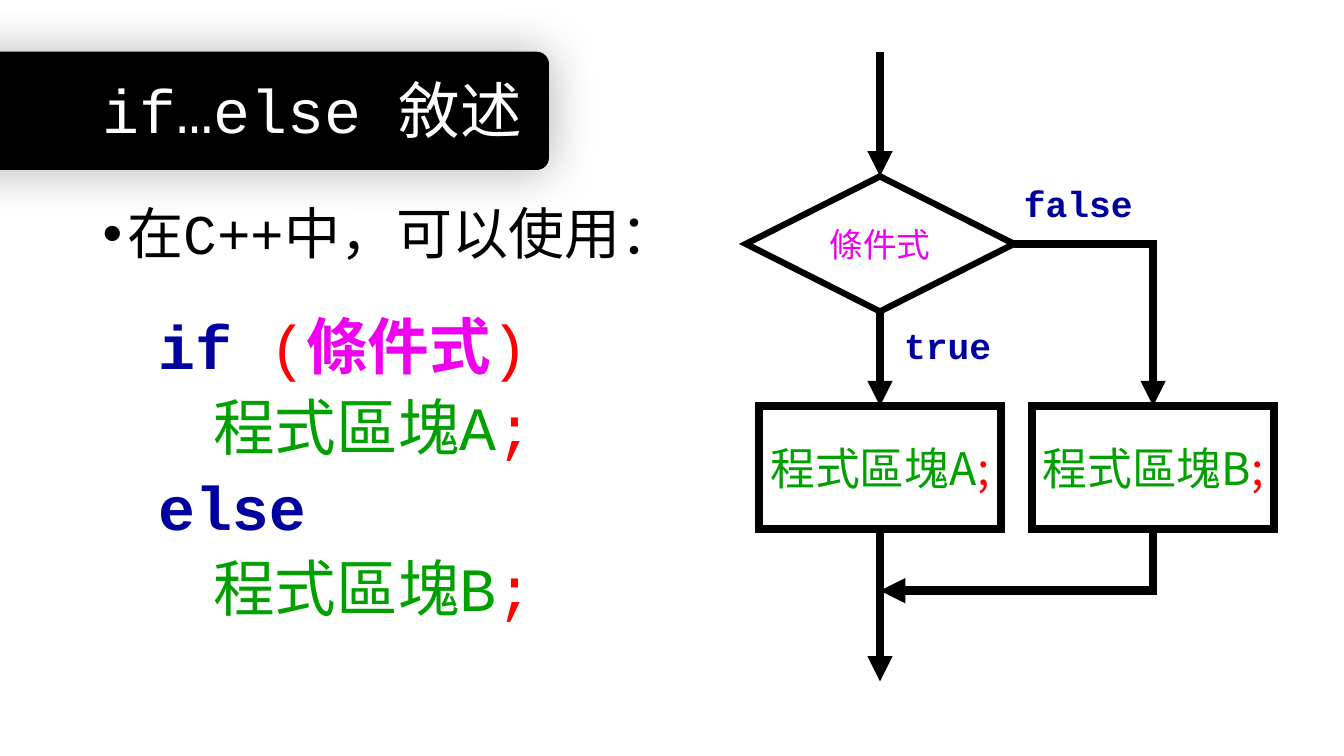
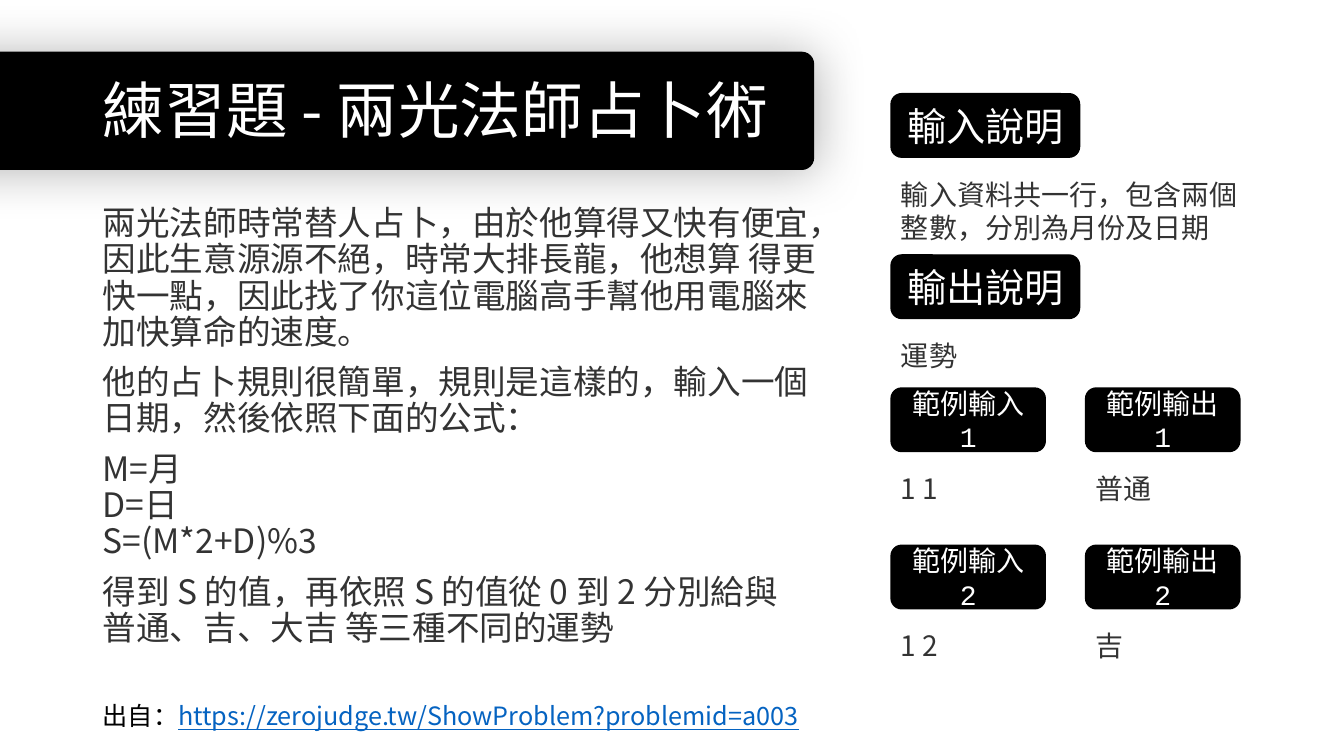
from lxml import etree
from pptx import Presentation
from pptx import util as u
from pptx.dml.color import RGBColor
from pptx.enum import shapes, text
from pptx.oxml import ns

PX = 9144  # EMU in one px, 100 px to the inch
MONO = "Courier New"
SANS = "Noto Sans CJK TC"
COLORS = {
    "black": "000000", "white": "FFFFFF", "gray": "333333", "navy": "0000A1",
    "red": "FF0000", "magenta": "F000F0", "green": "00A000", "link": "0563C1",
}
KIND = shapes.MSO_SHAPE
LEFT, CENTER = text.PP_ALIGN.LEFT, text.PP_ALIGN.CENTER
TOP, MIDDLE = text.MSO_ANCHOR.TOP, text.MSO_ANCHOR.MIDDLE


def write(shape, lines, size, font, align=LEFT, anchor=TOP, spacing=1.0, before=0):
    """Fill a shape with paragraphs; each is a list of (text, colour, style letters)."""
    frame = shape.text_frame
    frame.word_wrap = True
    frame.auto_size = text.MSO_AUTO_SIZE.NONE
    frame.vertical_anchor = anchor
    for index, spans in enumerate(lines):
        para = frame.add_paragraph() if index else frame.paragraphs[0]
        para.alignment = align
        para.line_spacing = spacing
        para.space_before = u.Pt(before if index else 0)
        for words, color, style in spans:
            for number, piece in enumerate(words.split("\n")):
                if number:
                    para.add_line_break()
                span = para.add_run()
                span.text = piece
                span.font.size = u.Pt(size)
                span.font.name = font
                span.font.bold = "b" in style
                span.font.underline = "u" in style
                span.font.color.rgb = RGBColor.from_string(COLORS[color])
                etree.SubElement(span.font._element, ns.qn("a:ea"), typeface=SANS)


def add_box(page, kind, place, fill, line_width):
    """Add a black-edged preset shape."""
    box = page.shapes.add_shape(kind, *[n * PX for n in place])
    box.shadow.inherit = False
    box.fill.solid()
    box.fill.fore_color.rgb = RGBColor.from_string(COLORS[fill])
    box.line.color.rgb = RGBColor.from_string(COLORS["black"])
    box.line.width = u.Pt(line_width)
    if kind != KIND.ROUNDED_RECTANGLE:
        etree.SubElement(box.line._get_or_add_ln(), ns.qn("a:miter"), lim="800000")
    return box


deck = Presentation()
deck.slide_width, deck.slide_height = u.Inches(13.333), u.Inches(7.5)

# Both pages: black title band with a soft shadow, title on top
pages = []
for title, font, band_width in [("if…else 敘述", MONO, 756),
                                ("練習題 - 兩光法師占卜術", SANS, 1019)]:
    page = deck.slides.add_slide(deck.slide_layouts[5])
    band = add_box(page, KIND.ROUNDED_RECTANGLE, (-212, 52, band_width, 116), "black", 1)
    band.adjustments[0] = 0.1
    effects = band._element.spPr.find(ns.qn("a:effectLst"))
    glow = etree.SubElement(effects, ns.qn("a:outerShdw"), blurRad=str(u.Pt(36)), dist="0",
                            algn="ctr", rotWithShape="0")
    tint = etree.SubElement(glow, ns.qn("a:srgbClr"), val=COLORS["black"])
    etree.SubElement(tint, ns.qn("a:alpha"), val="30000")
    page.shapes._spTree.insert(2, band._element)

    heading = page.shapes.title
    heading.left, heading.top, heading.width, heading.height = [
        n * PX for n in (92, 40, 1150, 145)]
    write(heading, [[(title, "white", "")]], 44, font, anchor=MIDDLE, spacing=0.9)
    pages.append(page)
syntax_page, exercise_page = pages

# Syntax page: bullet line
intro = syntax_page.shapes.add_textbox(*[n * PX for n in (92, 200, 640, 80)])
bullet = intro.text_frame.paragraphs[0]._p.get_or_add_pPr()
bullet.set("marL", str(25 * PX))
bullet.set("indent", str(-25 * PX))
etree.SubElement(bullet, ns.qn("a:buFont"), typeface="Arial")
etree.SubElement(bullet, ns.qn("a:buChar"), char="•")
write(intro, [[("在C++中，可以使用：", "black", "")]], 40, MONO, spacing=0.9)

# Syntax page: code
code = syntax_page.shapes.add_textbox(*[n * PX for n in (147, 309, 527, 316)])
write(code, [
    [("if ", "navy", "b"), ("(", "red", ""), ("條件式", "magenta", "b"), (")", "red", "")],
    [("    ", "black", ""), ("程式區塊A", "green", ""), (";", "red", "")],
    [("else", "navy", "b")],
    [("    ", "red", ""), ("程式區塊B", "green", ""), (";", "red", "")],
], 44, MONO, anchor=MIDDLE, spacing=0.9, before=10)

# Syntax page: flow chart nodes
decision = add_box(syntax_page, KIND.FLOWCHART_DECISION, (740, 175, 266, 134), "white", 4.5)
write(decision, [[("條件式", "magenta", "")]], 24, SANS, CENTER, MIDDLE)
blocks = []
for name, left in [("A", 753), ("B", 1024)]:
    block = add_box(syntax_page, KIND.FLOWCHART_PROCESS, (left, 403, 240, 122), "white", 6)
    write(block, [[("程式區塊" + name, "green", ""), (";", "red", "")]], 32, SANS, CENTER, MIDDLE)
    blocks.append(block)
for label, place in [("true", (887, 323, 119, 47)), ("false", (1006, 182, 133, 47))]:
    branch = syntax_page.shapes.add_textbox(*[n * PX for n in place])
    write(branch, [[(label, "navy", "b")]], 25.9, MONO, anchor=MIDDLE, spacing=0.8)

# Syntax page: arrows as ends, joined nodes and, for elbows, rotation
STRAIGHT, ELBOW = shapes.MSO_CONNECTOR.STRAIGHT, shapes.MSO_CONNECTOR.ELBOW
for kind, ends, source, target, turn in [
    (STRAIGHT, (873, 52, 873, 175), None, decision, 0),
    (STRAIGHT, (873, 309, 873, 403), decision, blocks[0], 0),
    (STRAIGHT, (873, 525, 873, 676), blocks[0], None, 0),
    (ELBOW, (1006, 242, 1144, 403), None, None, 0),
    (ELBOW, (978, 420, 1039, 691), None, None, 90),
]:
    arrow = syntax_page.shapes.add_connector(kind, *[n * PX for n in ends])
    if source:
        arrow.begin_connect(source, 2)
    if target:
        arrow.end_connect(target, 0)
    arrow.line.color.rgb = RGBColor.from_string(COLORS["black"])
    arrow.line.width = u.Pt(6)
    line = arrow.line._get_or_add_ln()
    etree.SubElement(line, ns.qn("a:miter"), lim="800000")
    etree.SubElement(line, ns.qn("a:tailEnd"), type="triangle")
    outline = arrow._element.spPr
    etree.SubElement(outline, ns.qn("a:effectLst"))
    if kind == ELBOW:
        outline.find(ns.qn("a:prstGeom")).set("prst", "bentConnector2")
        outline.find(ns.qn("a:xfrm")).set("rot", str(turn * 60000))

# Exercise page: story
story = [
    "兩光法師時常替人占卜，由於他算得又快有便宜，因此生意源源不絕，時常大排長龍，他想算 得更快一點，"
    "因此找了你這位電腦高手幫他用電腦來加快算命的速度。",
    "他的占卜規則很簡單，規則是這樣的，輸入一個日期，然後依照下面的公式：",
    "M=月\nD=日\nS=(M*2+D)%3",
    "得到 S 的值，再依照 S 的值從 0 到 2 分別給與 普通、吉、大吉 等三種不同的運勢",
]
body = exercise_page.shapes.add_textbox(*[n * PX for n in (92, 200, 730, 470)])
write(body, [[(words, "gray", "")] for words in story], 24, SANS, spacing=0.9, before=10)

# Exercise page: black badges, each with its text below
for badge_text, answer, left, top, badge_width, answer_width, size in [
    ("輸入說明", "輸入資料共一行，包含兩個整數，分別為月份及日期", 884, 93, 187, 374, 28),
    ("輸出說明", "運勢", 884, 253, 187, 374, 28),
    ("範例輸入1", "1 1", 884, 385, 153, 153, 20),
    ("範例輸出1", "普通", 1077, 385, 153, 153, 20),
    ("範例輸入2", "1 2", 884, 541, 153, 153, 20),
    ("範例輸出2", "吉", 1077, 541, 153, 153, 20),
]:
    badge = add_box(exercise_page, KIND.ROUNDED_RECTANGLE, (left, top, badge_width, 63), "black", 1)
    write(badge, [[(badge_text, "white", "")]], size, MONO, CENTER, MIDDLE)
    note = exercise_page.shapes.add_textbox(*[n * PX for n in (left, top + 78, answer_width, 44)])
    write(note, [[(answer, "gray", "")]], 20, SANS)

# Exercise page: where the problem comes from
origin = exercise_page.shapes.add_textbox(*[n * PX for n in (92, 690, 730, 40)])
write(origin, [[("出自：", "black", ""),
                ("https://zerojudge.tw/ShowProblem?problemid=a003", "link", "u")]], 18, SANS)

deck.save("out.pptx")
